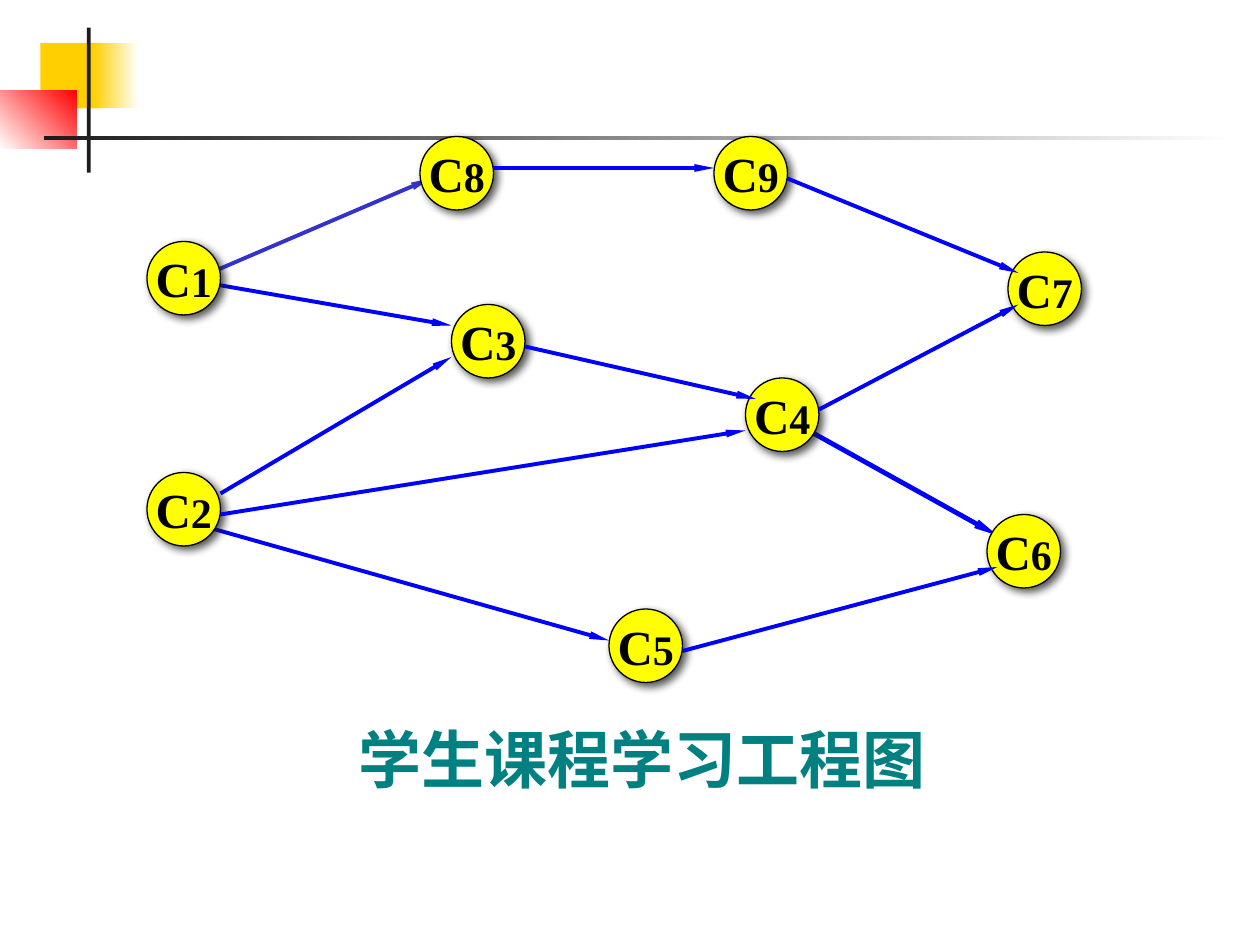
import pptx
import pptx.dml.color
import pptx.enum.dml
import pptx.enum.shapes
import pptx.enum.text
import pptx.oxml
import pptx.oxml.ns
import pptx.util

COLORS = {
    "gold": "FFCF01", "red": "FF0000", "white": "FFFFFF", "dark": "1C1C1C",
    "yellow": "FFFF00", "black": "000000", "blue": "0000FF",
    "indigo": "3333CC", "teal": "008080",
}
FONT = "Times New Roman"
UNITS_PER_INCH = 12
NODE_SIZE = 7
DRAWING_NS = pptx.oxml.ns.nsdecls("a")

BANDS = [
    (0.32, 0.34, 0.48, 0.52, ["gold"], 0),
    (0.74, 0.34, 0.36, 0.52, ["gold", "white"], 0),
    (0, 0.72, 0.61, 0.46, ["white", "red"], 45),
    (0.69, 0.22, 0.03, 1.15, ["dark"], 0),
    (0.35, 1.08, 9.45, 0.03, ["dark", "white"], 0),
]
COURSES = {
    "8": (40, 13), "3": (43, 29), "5": (58, 58), "4": (71, 36), "9": (68, 13),
    "6": (94, 49), "7": (96, 24), "1": (14, 23), "2": (14, 45),
}
ARROWS_BEHIND = [
    ((77, 41), (95, 51), "blue", 2.75),
    ((19, 50), (58, 61), "blue", 2.25),
    ((21, 47), (43, 34), "blue", 2.25),
    ((20, 27), (43, 31), "blue", 2.25),
    ((20, 26), (41, 17), "indigo", 2.25),
]
ARROWS_IN_FRONT = [
    ((47, 16), (68, 16)),
    ((50, 33), (72, 38)),
    ((21, 49), (71, 41)),
    ((75, 17), (97, 26)),
    ((78, 39), (97, 29)),
    ((65, 62), (95, 54)),
]


def rgb(name):
    """Return the named colour."""
    return pptx.dml.color.RGBColor.from_string(COLORS[name])


def grid(units):
    """Turn grid units into a length."""
    return pptx.util.Inches(units / UNITS_PER_INCH)


def add_run(paragraph, text, size, color):
    """Append one bold run to a paragraph."""
    run = paragraph.add_run()
    run.text = text
    run.font.name = FONT
    run.font.size = pptx.util.Pt(size)
    run.font.bold = True
    run.font.color.rgb = rgb(color)


def add_band(slide, left, top, width, height, colors, angle):
    """Add a borderless rectangle with a plain or gradient fill."""
    band = slide.shapes.add_shape(
        pptx.enum.shapes.MSO_SHAPE.RECTANGLE,
        *(pptx.util.Inches(length) for length in (left, top, width, height)))
    band.shadow.inherit = False
    band.line.fill.background()
    if len(colors) == 1:
        band.fill.solid()
        band.fill.fore_color.rgb = rgb(colors[0])
        return
    band.fill.gradient()
    band.fill.gradient_angle = angle
    for stop, color, position in zip(band.fill.gradient_stops, colors, (0, 1)):
        stop.color.rgb = rgb(color)
        stop.position = position


def add_arrow(slide, start, end, color="blue", weight=2.25):
    """Add a straight arrow between two grid points."""
    arrow = slide.shapes.add_connector(
        pptx.enum.shapes.MSO_CONNECTOR.STRAIGHT,
        *(grid(units) for units in start + end))
    arrow.line.color.rgb = rgb(color)
    arrow.line.width = pptx.util.Pt(weight)
    arrow.line._get_or_add_ln().append(pptx.oxml.parse_xml(
        f'<a:tailEnd {DRAWING_NS} type="triangle" w="sm" len="lg"/>'))
    properties = arrow._element.spPr
    properties.append(pptx.oxml.parse_xml(f"<a:effectLst {DRAWING_NS}/>"))


def add_course(slide, number, position):
    """Add a shadowed circle labelled with its course number."""
    course = slide.shapes.add_shape(
        pptx.enum.shapes.MSO_SHAPE.OVAL,
        *(grid(units) for units in position + (NODE_SIZE, NODE_SIZE)))
    course.fill.solid()
    course.fill.fore_color.rgb = rgb("yellow")
    course.line.color.rgb = rgb("black")
    course.line.width = pptx.util.Pt(0.75)
    course.shadow.inherit = False
    effects = course._element.spPr.find(pptx.oxml.ns.qn("a:effectLst"))
    effects.append(pptx.oxml.parse_xml(
        f'<a:outerShdw {DRAWING_NS} blurRad="{pptx.util.Pt(5)}" '
        f'dist="{pptx.util.Pt(3)}" dir="2700000" algn="ctr" rotWithShape="0">'
        f'<a:srgbClr val="{COLORS["dark"]}"><a:alpha val="75000"/></a:srgbClr>'
        '</a:outerShdw>'))
    frame = course.text_frame
    frame.word_wrap = False
    frame.vertical_anchor = pptx.enum.text.MSO_ANCHOR.MIDDLE
    label = frame.paragraphs[0]
    label.alignment = pptx.enum.text.PP_ALIGN.CENTER
    add_run(label, "C", 28, "black")
    add_run(label, number, 24, "black")


def add_caption(slide, text):
    """Add the caption below the graph."""
    caption = slide.shapes.add_textbox(
        grid(33), grid(68), pptx.util.Inches(4.73), pptx.util.Inches(0.7))
    frame = caption.text_frame
    frame.word_wrap = False
    frame.auto_size = pptx.enum.text.MSO_AUTO_SIZE.SHAPE_TO_FIT_TEXT
    add_run(frame.paragraphs[0], text, 36, "teal")


def main():
    """Build and save the course graph slide."""
    deck = pptx.Presentation()
    deck.slide_width = pptx.util.Inches(10)
    deck.slide_height = pptx.util.Inches(7.5)
    slide = deck.slides.add_slide(deck.slide_layouts[6])
    for band in BANDS:
        add_band(slide, *band)
    for arrow in ARROWS_BEHIND:
        add_arrow(slide, *arrow)
    add_caption(slide, "学生课程学习工程图")
    for number, position in COURSES.items():
        add_course(slide, number, position)
    for arrow in ARROWS_IN_FRONT:
        add_arrow(slide, *arrow)
    deck.save("out.pptx")


if __name__ == "__main__":
    main()
